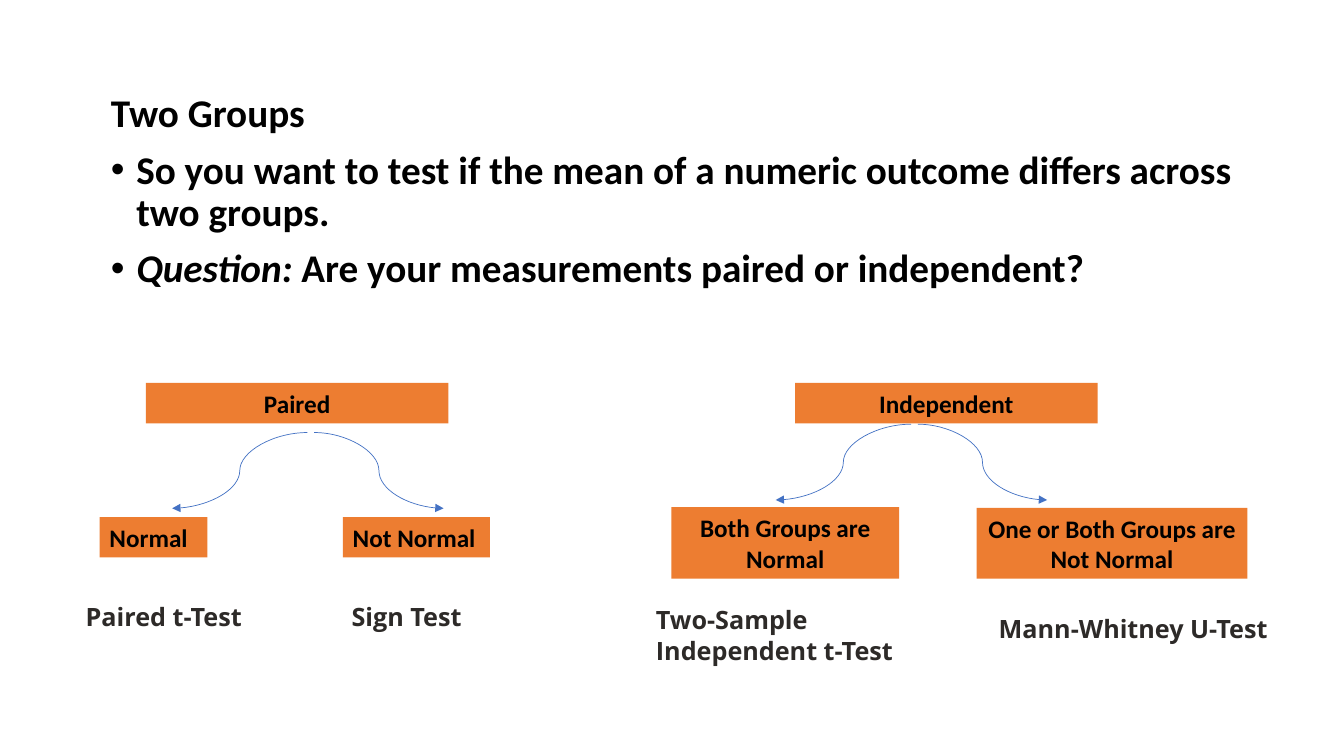
"""Build the slide that picks a test for comparing two groups."""
from lxml import etree
from pptx import Presentation
from pptx.dml.color import RGBColor
from pptx.enum import shapes, text
from pptx.oxml.ns import qn
from pptx.util import Cm, Pt


def paint(fmt, shade):
    fmt.solid()
    fmt.fore_color.rgb = RGBColor.from_string(shade)


def style(para, face, size, shade):
    para.font.name, para.font.size, para.font.bold = face, Pt(size), True
    paint(para.font.fill, shade)


deck = Presentation()
deck.slide_width, deck.slide_height = Cm(33.87), Cm(19.05)
slide = deck.slides.add_slide(deck.slide_layouts[1])
title = slide.shapes.title
title.element.getparent().remove(title.element)

body = slide.placeholders[1]
body.left, body.top, body.width, body.height = Cm(2.54), Cm(2.24), Cm(29.21), Cm(5.87)
frame = body.text_frame
frame.auto_size = text.MSO_AUTO_SIZE.NONE
frame.vertical_anchor = text.MSO_ANCHOR.TOP
points = [
    ("", "Two Groups"),
    ("", "So you want to test if the mean of a numeric outcome differs across two groups."),
    ("Question:", " Are your measurements paired or independent?"),
]
for i, (lead, rest) in enumerate(points):
    para = frame.paragraphs[0] if i == 0 else frame.add_paragraph()
    if lead:
        run = para.add_run()
        run.text, run.font.italic = lead, True
    para.add_run().text = rest
    style(para, "Calibri", 28, "000000")
    para.line_spacing, para.space_before = 0.9, Pt(10)
    props = para._p.get_or_add_pPr()
    dent = Cm(0.64) if i else 0
    props.set("marL", str(dent))
    props.set("indent", str(-dent))
    if i:
        etree.SubElement(props, qn("a:buFont"), typeface="Arial")
        etree.SubElement(props, qn("a:buChar"), char="•")
    else:
        etree.SubElement(props, qn("a:buNone"))

left, mid = text.PP_ALIGN.LEFT, text.PP_ALIGN.CENTER
boxes = [
    ("Paired", 3.68, 9.65, 7.62, 1.02, mid),
    ("Independent", 20.04, 9.65, 7.62, 1.02, mid),
    ("Normal", 2.51, 13.03, 2.72, 1.02, left),
    ("Not Normal", 8.64, 13.03, 3.71, 1.02, left),
    ("Both Groups are Normal", 16.92, 12.78, 5.74, 1.8, mid),
    ("One or Both Groups are Not Normal", 24.61, 12.8, 6.83, 1.78, mid),
]
for words, x, y, w, h, align in boxes:
    box = slide.shapes.add_shape(shapes.MSO_SHAPE.RECTANGLE, Cm(x), Cm(y), Cm(w), Cm(h))
    box.shadow.inherit = False
    paint(box.fill, "ED7D31")
    box.line.fill.background()
    box.text_frame.word_wrap = True
    para = box.text_frame.paragraphs[0]
    para.text, para.alignment = words, align
    style(para, "Calibri", 18, "000000")

for x, y in [(7.75, 10.9), (22.96, 10.69)]:
    for start, end in [(0.17, 3.43), (0, -3.41)]:
        curve = slide.shapes.add_connector(
            shapes.MSO_CONNECTOR.CURVE, Cm(x + start), Cm(y), Cm(x + end), Cm(y + 1.91))
        paint(curve.line.fill, "4472C4")
        curve.line.width = Pt(0.5)
        etree.SubElement(curve.line._get_or_add_ln(), qn("a:tailEnd"), type="triangle")
        etree.SubElement(curve._element.spPr, qn("a:effectLst"))

tests = [
    ("Paired t-Test", 1.91, 15.04, 4.75, 1.02),
    ("Sign Test", 8.61, 15.04, 4.29, 1.02),
    ("Two-Sample Independent t-Test", 16.28, 15.11, 7.62, 1.8),
    ("Mann-Whitney U-Test", 24.92, 15.32, 7.62, 1.02),
]
for words, x, y, w, h in tests:
    label = slide.shapes.add_textbox(Cm(x), Cm(y), Cm(w), Cm(h))
    label.text_frame.word_wrap = True
    para = label.text_frame.paragraphs[0]
    para.text = words
    style(para, "Open Sans", 18, "2D2A28")

deck.save("out.pptx")
